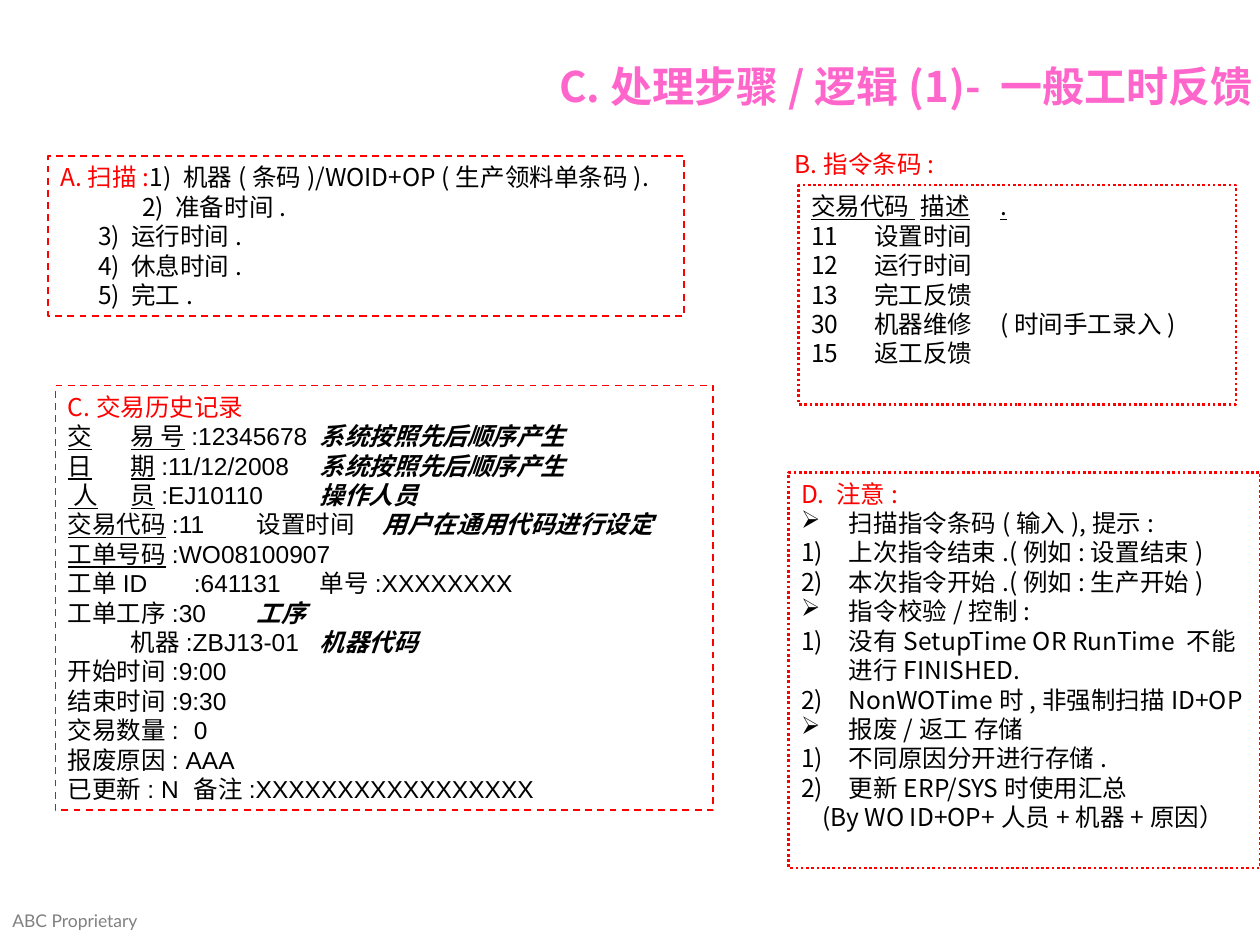
from dataclasses import dataclass

from pptx import Presentation
from pptx.dml.color import RGBColor
from pptx.enum import dml, shapes, text
from pptx.oxml.ns import qn
from pptx.util import Inches, Pt
from lxml import etree

RED = RGBColor(0xFF, 0x00, 0x00)
BLACK = RGBColor(0x00, 0x00, 0x00)
PINK = RGBColor(0xFF, 0x66, 0xCC)
GRAY = RGBColor(0x80, 0x80, 0x80)
SANS = "Noto Sans CJK TC"
TITLE_FONT = "Noto Sans CJK SC"
DASH = dml.MSO_LINE.DASH
DOTS = dml.MSO_LINE.ROUND_DOT


@dataclass
class Line:
    """A paragraph: (text, style) runs, tab stops and left margin in inches."""
    runs: list
    tabs: tuple = ()
    margin: float = 0
    hanging: float = 0
    bullet: str = ""


def plain(words, *tabs, margin=0):
    return Line([(words, "")], tabs, margin)


def heading(words):
    return Line([(words, "red")])


def field(label, value, note, *tabs):
    """An underlined label, its value and a bold italic note."""
    return Line([(label, "underline"), (value, ""), (note, "note")], tabs)


def item(words, bullet):
    return Line([(words, "")], margin=0.38, hanging=0.38, bullet=bullet)


def format_run(run, font, size, color, style=""):
    run.font.name = font
    run.font.size = Pt(size)
    run.font.color.rgb = RED if style == "red" else color
    run.font.underline = style == "underline"
    run.font.bold = run.font.italic = style == "note"
    east_asian = etree.SubElement(run.font._element, qn("a:ea"))
    east_asian.set("typeface", SANS if font == "Arial" else font)


def format_paragraph(paragraph, line):
    """Set margin, bullet and tab stops, in schema order."""
    props = paragraph._p.get_or_add_pPr()
    props.set("marL", str(Inches(line.margin)))
    props.set("indent", str(Inches(-line.hanging)))
    if line.bullet == "number":
        etree.SubElement(props, qn("a:buAutoNum")).set("type", "arabicParenR")
    elif line.bullet:
        etree.SubElement(props, qn("a:buChar")).set("char", line.bullet)
    if line.tabs:
        stops = etree.SubElement(props, qn("a:tabLst"))
        for position in line.tabs:
            stop = etree.SubElement(stops, qn("a:tab"))
            stop.set("pos", str(Inches(position)))
            stop.set("algn", "l")


def add_label(slide, place, words, font, size, color):
    label = slide.shapes.add_textbox(*map(Inches, place))
    frame = label.text_frame
    frame.word_wrap = True
    frame.text = words
    format_run(frame.paragraphs[0].runs[0], font, size, color)
    return frame


def add_panel(slide, place, lines, dash, width, font=SANS):
    """Draw an outlined box and fill it with lines."""
    panel = slide.shapes.add_shape(shapes.MSO_SHAPE.RECTANGLE, *map(Inches, place))
    panel.shadow.inherit = False
    panel.fill.background()
    panel.line.color.rgb = RED
    panel.line.width = Pt(width)
    panel.line.dash_style = dash
    frame = panel.text_frame
    frame.word_wrap = True
    frame.vertical_anchor = text.MSO_ANCHOR.TOP
    frame.margin_right = Inches(0.03)
    for index, line in enumerate(lines):
        paragraph = frame.add_paragraph() if index else frame.paragraphs[0]
        paragraph.alignment = text.PP_ALIGN.LEFT
        format_paragraph(paragraph, line)
        for words, style in line.runs:
            run = paragraph.add_run()
            run.text = words
            run_font = SANS if style == "red" else font
            format_run(run, run_font, 14, BLACK, style)


def scan_lines():
    first = Line([("A.扫描:", "red"),
                  ("1) 机器(条码)/WOID+OP (生产领料单条码).", "")])
    steps = ["3) 运行时间.", "4) 休息时间.", "5) 完工."]
    return [first, plain("2) 准备时间.", margin=0.65),
            *(plain(step, margin=0.3) for step in steps)]


def history_lines():
    order_note = "系统按照先后顺序产生"
    return [
        heading("C.交易历史记录"),
        field("交\t易 号", ":12345678\t", order_note, 0.28, 1.96),
        field("日\t期", ":11/12/2008\t", order_note, 0.49, 1.87),
        field(" 人\t员", ":EJ10110\t", "操作人员", 0.49, 1.88),
        field("交易代码", ":11\t设置时间\t", "用户在通用代码进行设定", 1.4, 2.32),
        Line([("工单号码", "underline"), (":WO08100907", "")]),
        plain("工单ID\t:641131\t单号:XXXXXXXX", 0.79, 3.47),
        Line([("工单工序:30\t", ""), ("工序", "note")], (1.85,)),
        Line([("\t机器:ZBJ13-01\t", ""), ("机器代码", "note")], (0.31, 1.8)),
        plain("开始时间:9:00"),
        plain("结束时间:9:30"),
        plain("交易数量:\t0", 0.98),
        plain("报废原因: AAA"),
        plain("已更新: N\t备注:XXXXXXXXXXXXXXXXX", 1.58),
    ]


def code_lines():
    codes = [("11", "设置时间"), ("12", "运行时间"), ("13", "完工反馈"),
             ("30", "机器维修\t(时间手工录入)"), ("15", "返工反馈")]
    header = Line([("交易代码 ", "underline"), (" ", ""),
                   ("描述\t.", "underline")], (1.48,))
    return [header, *(plain(f"{code}\t{meaning}", 0.61, 1.53)
                      for code, meaning in codes)]


def note_lines():
    topics = [
        ("扫描指令条码(输入),提示:",
         ["上次指令结束.(例如:设置结束)", "本次指令开始.(例如:生产开始)"]),
        ("指令校验/控制:",
         ["没有SetupTime OR RunTime 不能进行FINISHED.",
          "NonWOTime时,非强制扫描ID+OP"]),
        ("报废/返工 存储",
         ["不同原因分开进行存储.", "更新ERP/SYS时使用汇总"]),
    ]
    lines = [heading("D. 注意:")]
    for topic, points in topics:
        lines.append(item(topic, "➢"))
        lines += [item(point, "number") for point in points]
    return lines + [plain("(By WO ID+OP+人员+机器+原因）", margin=0.17)]


def main():
    prs = Presentation()
    prs.slide_width, prs.slide_height = Inches(10), Inches(7.5)
    slide = prs.slides.add_slide(prs.slide_layouts[6])

    add_label(slide, (0, 7.17, 1.25, 0.44), "ABC Proprietary", "Lato", 10, GRAY)
    title = add_label(slide, (3.03, 0.36, 7.01, 0.57),
                      "C.处理步骤/逻辑(1)- 一般工时反馈", TITLE_FONT, 24, PINK)
    title.vertical_anchor = text.MSO_ANCHOR.BOTTOM
    title.paragraphs[0].alignment = text.PP_ALIGN.RIGHT
    title.paragraphs[0].runs[0].font.bold = True

    add_panel(slide, (0.38, 1.24, 5.05, 1.27), scan_lines(), DASH, 1)
    add_panel(slide, (0.44, 3.06, 5.22, 3.37), history_lines(), DASH, 1, "Arial")
    add_panel(slide, (6.34, 1.47, 3.47, 1.74), code_lines(), DOTS, 1.5)
    add_panel(slide, (6.26, 3.75, 3.74, 3.14), note_lines(), DOTS, 1.5)
    add_label(slide, (6.21, 1.13, 1.36, 0.34), "B.指令条码:", SANS, 14, RED)

    prs.save("out.pptx")


if __name__ == "__main__":
    main()
